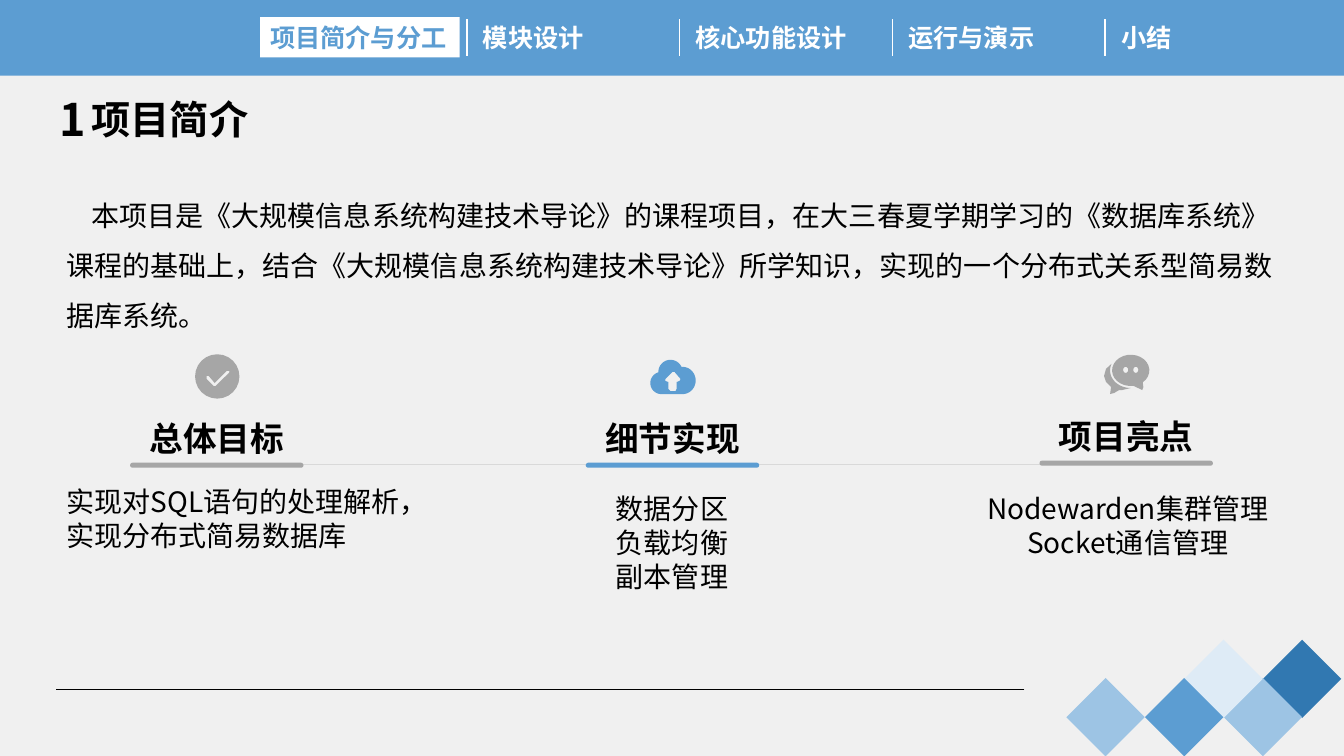
from math import cos, sin, radians

from lxml.etree import SubElement
from pptx import Presentation
from pptx.dml.color import RGBColor
from pptx.enum.shapes import MSO_CONNECTOR, MSO_SHAPE
from pptx.enum.text import MSO_AUTO_SIZE, PP_ALIGN
from pptx.oxml.ns import qn
from pptx.util import Pt

PX = 9144  # one hundredth of an inch
FONT = "Noto Sans CJK SC"
TONES = {
    "back": "F0F0F0", "blue": "5C9DD2", "sky": "9DC4E4", "pale": "DEEBF6",
    "deep": "3178B1", "gray": "A6A6A6", "rule": "D9D9D9",
    "white": "FFFFFF", "black": "000000",
}
RGB = {name: RGBColor.from_string(code) for name, code in TONES.items()}
LEFT, MID, FULL = PP_ALIGN.LEFT, PP_ALIGN.CENTER, PP_ALIGN.JUSTIFY


def block(home, kind, spot, tone):
    """Add a flat preset shape with no outline."""
    shape = home.add_shape(kind, *[n * PX for n in spot])
    shape.shadow.inherit = False
    shape.fill.solid()
    shape.fill.fore_color.rgb = RGB[tone]
    shape.line.fill.background()
    return shape


def write(home, spot, lines, size, tone="black", bold=False, align=LEFT, wrap=True):
    """Add a text box with one paragraph for each line."""
    box = home.add_textbox(*[n * PX for n in spot])
    frame = box.text_frame
    frame.word_wrap = wrap
    frame.auto_size = MSO_AUTO_SIZE.SHAPE_TO_FIT_TEXT
    for i, line in enumerate(lines):
        para = frame.add_paragraph() if i else frame.paragraphs[0]
        para.alignment = align
        run = para.add_run()
        run.text = line
        font = run.font
        font.size, font.bold, font.name = Pt(size), bold, FONT
        font.color.rgb = RGB[tone]
        SubElement(font._element, qn("a:ea"), typeface=FONT)
    return box


deck = Presentation()
deck.slide_width, deck.slide_height = 1333 * PX, 750 * PX
slide = deck.slides.add_slide(deck.slide_layouts[6])
slide.background.fill.solid()
slide.background.fill.fore_color.rgb = RGB["back"]
shapes = slide.shapes

# Header band and rules
block(shapes, MSO_SHAPE.RECTANGLE, (0, 0, 1333, 75), "blue")
rules = [(463 + 211 * i, 19, 463 + 211 * i, 56, "white", 1) for i in range(4)]
rules += [(157, 461, 1038, 461, "rule", 1), (1016, 684, 56, 684, "black", 0.5)]
for *ends, tone, width in rules:
    rule = shapes.add_connector(MSO_CONNECTOR.STRAIGHT, *[n * PX for n in ends])
    rule.line.color.rgb = RGB[tone]
    rule.line.width = Pt(width)
    SubElement(rule._element.spPr, qn("a:effectLst"))

# Navigation
tabs = ["项目简介与分工", "模块设计", "核心功能设计", "运行与演示", "小结"]
for i, tab in enumerate(tabs):
    tone = "white" if i else "blue"
    box = write(shapes, (258 + 211 * i, 17, 198, 40), [tab], 18, tone, True, FULL)
    if i == 0:
        box.fill.solid()
        box.fill.fore_color.rgb = RGB["white"]

# Corner diamonds: step across, row, colour
group = shapes.add_group_shape().shapes
for step, row, tone in [(0, 1, "sky"), (5, 0, "deep"), (4, 1, "sky"),
                        (3, 0, "pale"), (2, 1, "blue")]:
    spot = (1069 + 39 * step, 646 + 38 * row, 55, 55)
    block(group, MSO_SHAPE.RECTANGLE, spot, tone).rotation = 45

# Title and summary
group = shapes.add_group_shape().shapes
write(group, (49, 86, 35, 64), ["1"], 32, bold=True, wrap=False)
write(group, (81, 90, 251, 57), ["项目简介"], 28, bold=True)
summary = write(shapes, (56, 175, 1220, 154), [
    "本项目是《大规模信息系统构建技术导论》的课程项目，"
    "在大三春夏学期学习的《数据库系统》课程的基础上，"
    "结合《大规模信息系统构建技术导论》所学知识，"
    "实现的一个分布式关系型简易数据库系统。"], 20)
para = summary.text_frame.paragraphs[0]
para.line_spacing = 1.5
para._p.get_or_add_pPr().set("indent", str(25 * PX))

# Icon outlines: (x, y) is a point,
# (x, y, rx, ry, from, to) an arc in clockwise degrees
check = [
    [(215.5, 373.5, 22, 22, 0, 360)],
    [(227, 368), (225, 368), (213, 380), (207, 373), (205, 373), (205, 376),
     (212, 383), (214, 383), (227, 370), (228, 369)],
]
cloud = [
    [(656, 380, 11, 11, 90, 255), (665, 369, 12, 12, 180, 335),
     (677, 377.5, 13, 13.5, 270, 450)],
    [(674, 378), (671, 379), (671, 386), (670, 388), (665, 388), (663, 386),
     (663, 379), (660, 378), (660, 376), (667, 369), (669, 369), (675, 376)],
]
chat = [
    [(1121.5, 367.5, 18.5, 15.5, 82, 410), (1134, 384), (1133, 387)],
    [(1116.5, 367, 2.5, 3, 0, 360)],
    [(1126.5, 367, 2.5, 3, 0, 360)],
    [(1121.5, 367.5, 20.5, 17.5, 202, 90), (1113, 387), (1110, 387),
     (1105, 390), (1101, 391), (1102, 384), (1097, 379), (1095, 373), (1097, 366)],
]

# Three columns
for x, y, head, tone, icon in [(129, 410, "总体目标", "gray", check),
                               (581, 410, "细节实现", "blue", cloud),
                               (1031, 408, "项目亮点", "gray", chat)]:
    group = shapes.add_group_shape().shapes
    pen = None
    for ring in icon:
        dots = []
        for part in ring:
            if len(part) == 2:
                dots.append(part)
                continue
            cx, cy, rx, ry, start, end = part
            for k in range(25):
                turn = radians(start + (end - start) * k / 24)
                dots.append((cx + rx * cos(turn), cy + ry * sin(turn)))
        dots = [(round(a * PX), round(b * PX)) for a, b in dots]
        if pen is None:
            pen = group.build_freeform(*dots[0], scale=1.0)
        else:
            pen.move_to(*dots[0])
        pen.add_line_segments(dots[1:], close=True)
    mark = pen.convert_to_shape()
    mark.shadow.inherit = False
    mark.fill.solid()
    mark.fill.fore_color.rgb = RGB[tone]
    mark.line.fill.background()
    write(group, (x, y, 172, 50), [head], 24, bold=True, align=MID)
    bar = block(group, MSO_SHAPE.ROUNDED_RECTANGLE, (x, y + 49, 172, 5), tone)
    bar.adjustments[0] = 0.5

for spot, lines, align in [
    ((56, 476, 427, 77), ["实现对SQL语句的处理解析，", "实现分布式简易数据库"], LEFT),
    ((469, 483, 395, 111), ["数据分区", "负载均衡", "副本管理"], MID),
    ((921, 483, 395, 77), ["Nodewarden集群管理", "Socket通信管理"], MID),
]:
    write(shapes, spot, lines, 20, align=align)

deck.save("out.pptx")
